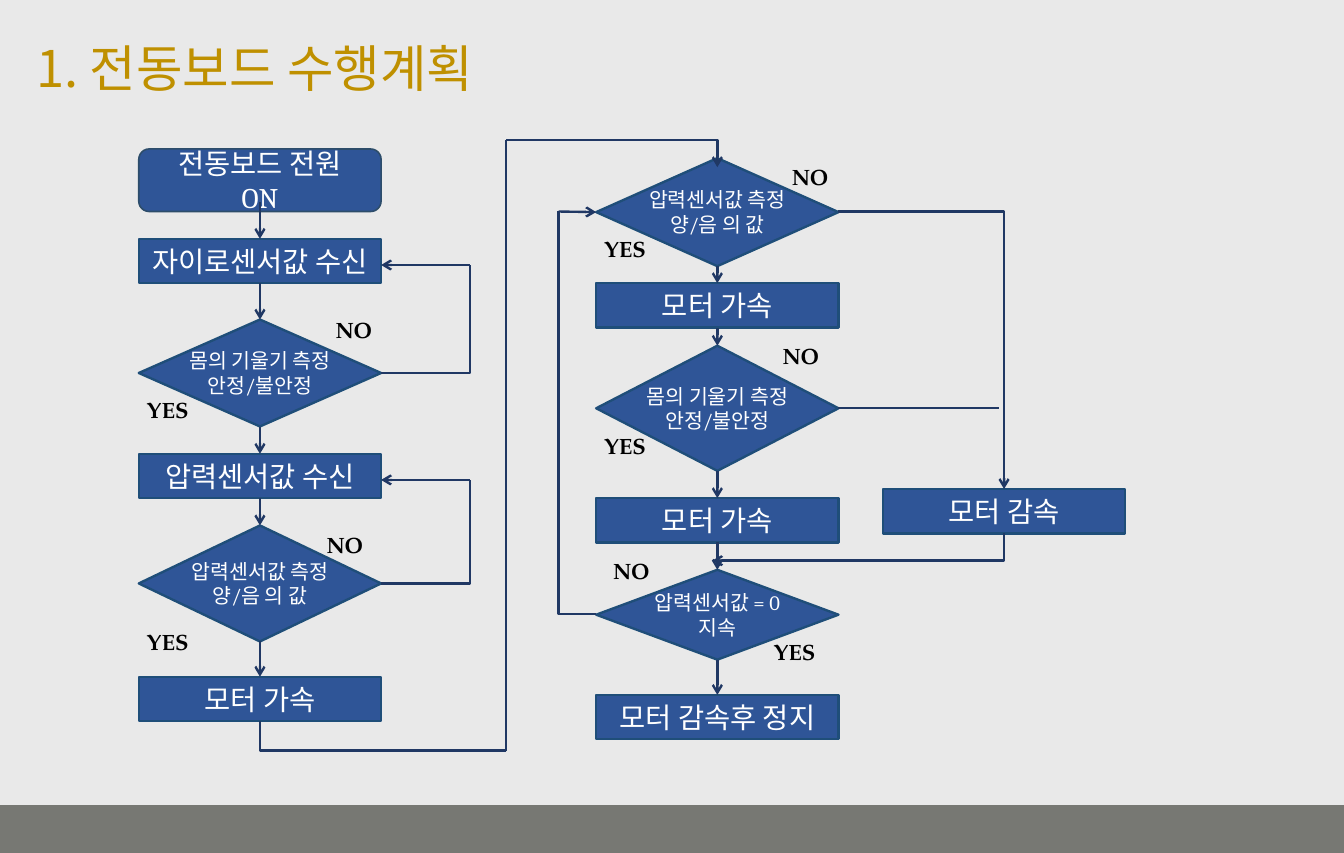
from dataclasses import dataclass

import pptx
import pptx.dml.color
import pptx.enum.shapes
import pptx.enum.text
import pptx.oxml.ns
import pptx.util
from lxml import etree

Inches = pptx.util.Inches
Pt = pptx.util.Pt
Shape = pptx.enum.shapes.MSO_SHAPE
Connector = pptx.enum.shapes.MSO_CONNECTOR
Align = pptx.enum.text.PP_ALIGN
Anchor = pptx.enum.text.MSO_ANCHOR
qn = pptx.oxml.ns.qn

BLUE, EDGE, NAVY = "2F5597", "1F4E79", "203864"
SLIDE_W, SLIDE_H = 11 + 13 / 16, 7.5
NODE_W, BOX_H = 2.13, 0.39
LEFT, RIGHT, SIDE = 1.22, 5.24, 7.76  # left edges of the three columns
LEFT_MID, RIGHT_MID, SIDE_MID = (x + NODE_W / 2 for x in (LEFT, RIGHT, SIDE))
LEFT_END, RIGHT_END = LEFT + NODE_W, RIGHT + NODE_W
LOOP_X, BRIDGE_X, BACK_X = 4.13, 4.45, 4.91  # vertical runs of the long lines


@dataclass
class Node:
    key: str
    x: float
    y: float
    lines: list[str]
    h: float = BOX_H
    kind: int = Shape.RECTANGLE
    size: int = 18
    edge: str = EDGE
    edge_w: float = 1.5


@dataclass
class Label:
    text: str
    x: float
    y: float


@dataclass
class Line:
    x1: float
    y1: float
    x2: float
    y2: float
    arrow: str = ""  # "headEnd" at the start, "tailEnd" at the finish
    elbow: bool = False  # across first, then up or down


def decision(key: str, x: float, y: float, h: float, lines: list[str]) -> Node:
    return Node(key, x, y, lines, h, Shape.FLOWCHART_DECISION, 13)


TILT = ["몸의 기울기 측정", "안정/불안정"]
PRESSURE = ["압력센서값 측정", "양/음 의 값"]

NODES = [
    Node("power", LEFT, 1.31, ["전동보드 전원", "ON"], 0.55,
         Shape.ROUNDED_RECTANGLE, edge="2D4D6A", edge_w=1),
    Node("gyro", LEFT, 2.1, ["자이로센서값 수신"]),
    decision("tilt", LEFT, 2.81, 0.94, TILT),
    Node("receive", LEFT, 3.99, ["압력센서값 수신"]),
    decision("pressure", LEFT, 4.62, 1.02, PRESSURE),
    Node("start", LEFT, 5.95, ["모터 가속"]),
    decision("pressure2", RIGHT, 1.39, 0.95, PRESSURE),
    Node("faster", RIGHT, 2.49, ["모터 가속"]),
    decision("tilt2", RIGHT, 3.04, 1.1, TILT),
    Node("faster2", RIGHT, 4.38, ["모터 가속"]),
    decision("zero", RIGHT, 5.01, 0.79, ["압력센서값 = 0", "지속"]),
    Node("stop", RIGHT, 6.11, ["모터 감속후 정지"]),
    Node("slower", SIDE, 4.3, ["모터 감속"]),
]

CHAINS = [
    ["gyro", "tilt", "receive", "pressure", "start"],
    ["pressure2", "faster", "tilt2", "faster2", "zero", "stop"],
]

LABELS = [
    Label("YES", 1.14, 3.44), Label("NO", 2.8, 2.73),
    Label("YES", 1.14, 5.48), Label("NO", 2.72, 4.62),
    Label("YES", 5.16, 2.02), Label("NO", 6.81, 1.39),
    Label("YES", 5.16, 3.75), Label("NO", 6.73, 2.96),
    Label("YES", 6.65, 5.56), Label("NO", 5.24, 4.85),
]

LINES = [
    # Retry loops of the left column
    Line(LEFT_END, 3.28, LOOP_X, 2.33, elbow=True),
    Line(LOOP_X, 2.33, LEFT_END, 2.33, "tailEnd"),
    Line(LEFT_END, 5.13, LOOP_X, 4.22, elbow=True),
    Line(LOOP_X, 4.22, LEFT_END, 4.22, "tailEnd"),
    # Bridge from the left column to the right one
    Line(BRIDGE_X, 6.6, LEFT_MID, 6.34, elbow=True),
    Line(BRIDGE_X, 6.6, BRIDGE_X, 1.23),
    Line(BRIDGE_X, 1.23, RIGHT_MID, 1.47, "tailEnd", elbow=True),
    # Slowing down and rejoining
    Line(RIGHT_END, 1.86, SIDE_MID, 4.3, "tailEnd", elbow=True),
    Line(6.26, 4.93, SIDE_MID, 4.69, "headEnd", elbow=True),
    # Way back to the pressure check
    Line(RIGHT, 5.4, BACK_X, 1.86, elbow=True),
]


def color(value: str) -> pptx.dml.color.RGBColor:
    return pptx.dml.color.RGBColor.from_string(value)


def write(tf, *lines: str, size: float, font: str, fill: str, bold: bool = False,
          align=Align.LEFT, anchor=Anchor.TOP, wrap: bool = True, spacing: float = 1.0) -> None:
    tf.word_wrap = wrap
    tf.vertical_anchor = anchor
    for i, line in enumerate(lines):
        p = tf.paragraphs[0] if i == 0 else tf.add_paragraph()
        p.alignment = align
        p.line_spacing = spacing
        r = p.add_run()
        r.text = line
        r.font.size = Pt(size)
        r.font.name = font
        r.font.bold = bold
        r.font.color.rgb = color(fill)


def add_node(slide, node: Node):
    sp = slide.shapes.add_shape(node.kind, Inches(node.x), Inches(node.y),
                                Inches(NODE_W), Inches(node.h))
    sp.shadow.inherit = False
    sp.fill.solid()
    sp.fill.fore_color.rgb = color(BLUE)
    sp.line.color.rgb = color(node.edge)
    sp.line.width = Pt(node.edge_w)
    write(sp.text_frame, *node.lines, size=node.size, font="Cambria", fill="FFFFFF",
          align=Align.CENTER, anchor=Anchor.MIDDLE,
          wrap=node.kind == Shape.ROUNDED_RECTANGLE)
    return sp


def add_label(slide, label: Label) -> None:
    sp = slide.shapes.add_textbox(Inches(label.x), Inches(label.y), Inches(0.87), Inches(0.34))
    sp.text_frame.margin_left = Inches(0.15)
    write(sp.text_frame, label.text, size=14, font="TeX Gyre Pagella", fill="000000", bold=True)


def add_line(slide, line: Line):
    kind = Connector.ELBOW if line.elbow else Connector.STRAIGHT
    c = slide.shapes.add_connector(kind, Inches(line.x1), Inches(line.y1),
                                   Inches(line.x2), Inches(line.y2))
    c.line.color.rgb = color(NAVY)
    c.line.width = Pt(1.5)
    props = c._element.spPr
    if line.elbow:
        props.find(qn("a:prstGeom")).set("prst", "bentConnector2")
    if line.arrow:
        etree.SubElement(props.find(qn("a:ln")), qn(f"a:{line.arrow}"), type="arrow")
    etree.SubElement(props, qn("a:effectLst"))
    return c


def main() -> None:
    prs = pptx.Presentation()
    prs.slide_width, prs.slide_height = Inches(SLIDE_W), Inches(SLIDE_H)
    slide = prs.slides.add_slide(prs.slide_layouts[6])
    slide.background.fill.solid()
    slide.background.fill.fore_color.rgb = color("E9E9E9")

    # Footer band and title
    band = slide.shapes.add_shape(Shape.RECTANGLE, 0, Inches(7.08), prs.slide_width, Inches(0.42))
    band.shadow.inherit = False
    band.fill.solid()
    band.fill.fore_color.rgb = color("777873")
    band.line.fill.background()
    title = slide.shapes.add_textbox(Inches(0.22), Inches(0.2), Inches(11.35), Inches(0.85))
    write(title.text_frame, "1. 전동보드 수행계획", size=32, font="Noto Sans CJK KR",
          fill="BF9000", anchor=Anchor.MIDDLE, spacing=0.9)

    # Flowchart steps and answers
    nodes = {node.key: add_node(slide, node) for node in NODES}
    for label in LABELS:
        add_label(slide, label)

    # Arrows down each column
    for chain in CHAINS:
        for upper, lower in zip(chain, chain[1:]):
            c = add_line(slide, Line(0, 0, 1, 1, "tailEnd"))
            c.begin_connect(nodes[upper], 2)
            c.end_connect(nodes[lower], 0)

    # Other joined lines
    c = add_line(slide, Line(LEFT_MID, 1.78, LEFT_MID, 2.1, "tailEnd"))
    c.end_connect(nodes["gyro"], 0)
    c = add_line(slide, Line(RIGHT_END, 3.59, 8.78, 3.59))
    c.begin_connect(nodes["tilt2"], 3)
    c = add_line(slide, Line(BACK_X, 1.86, RIGHT, 1.86, "tailEnd"))
    c.end_connect(nodes["pressure2"], 1)

    # Loops and detours
    for line in LINES:
        add_line(slide, line)

    prs.save("out.pptx")


if __name__ == "__main__":
    main()
